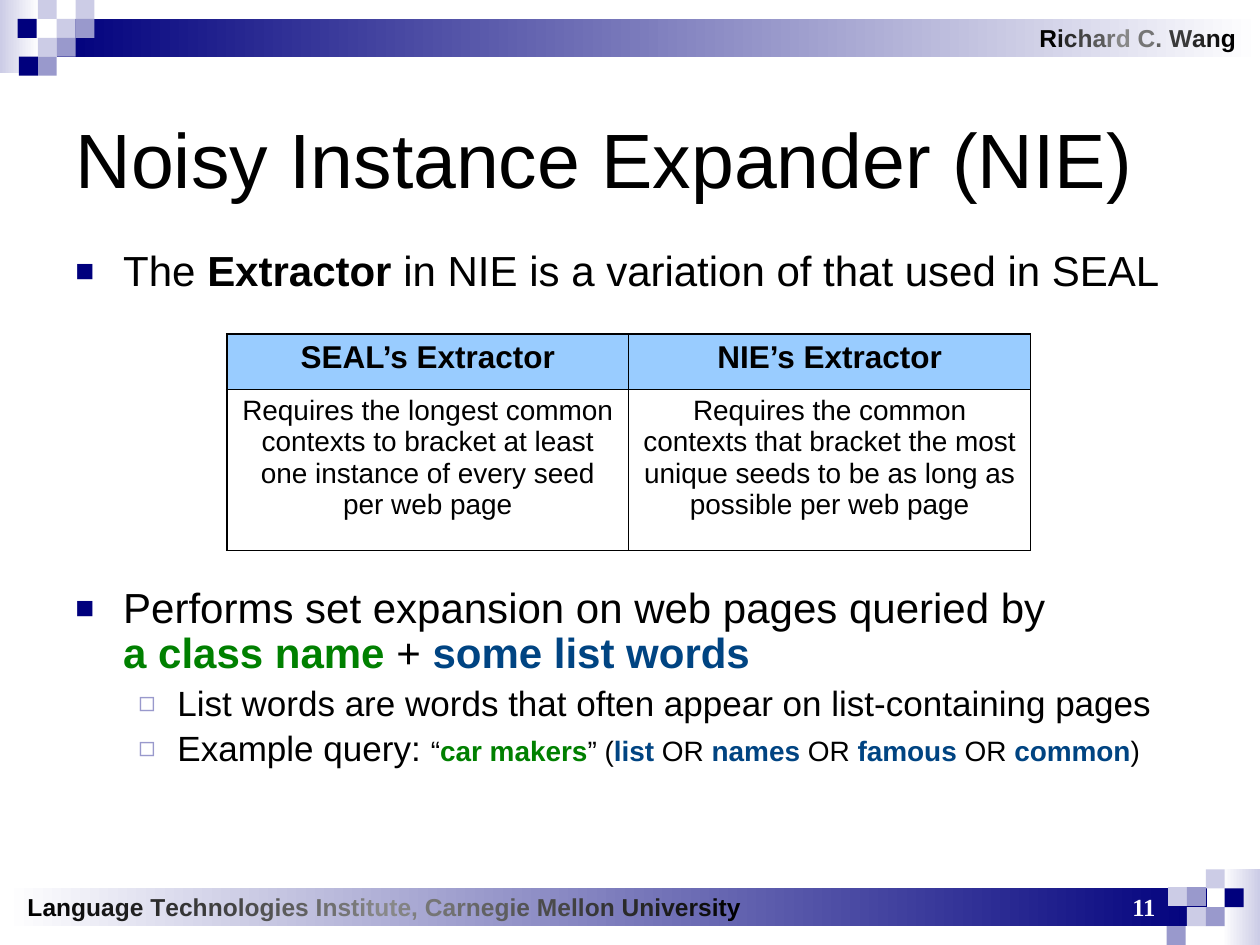
from lxml.etree import SubElement
from pptx import Presentation
from pptx.dml.color import RGBColor
from pptx.enum.shapes import MSO_SHAPE
from pptx.enum.text import MSO_ANCHOR, PP_ALIGN
from pptx.oxml.ns import qn
from pptx.util import Inches, Pt

# Content
TITLE = "Noisy Instance Expander (NIE)"
AUTHOR = "Richard C. Wang"
INSTITUTE = "Language Technologies Institute, Carnegie Mellon University"
PAGE_NUMBER = "11"

BLACK, WHITE, GREEN, BLUE = "000000", "FFFFFF", "008000", "004482"
NAVY, LILAC, PALE, HEADER_FILL = "00007D", "9999CC", "CCCCE6", "99CCFF"

TABLE = [
    ["SEAL’s Extractor", "NIE’s Extractor"],
    ["Requires the longest common contexts to bracket at least one instance "
     "of every seed per web page",
     "Requires the common contexts that bracket the most unique seeds to be "
     "as long as possible per web page"],
]

# Each point: level, space before, spans of (text, format)
KEY = {"color": GREEN, "bold": True}
LIST_WORD = {"color": BLUE, "bold": True}
SMALL = {"size": 16}
OPENING = [(0, 0, [("The ", {}), ("Extractor", {"bold": True}),
                   (" in NIE is a variation of that used in SEAL", {})])]
DETAILS = [
    (0, 0, [("Performs set expansion on web pages queried by\v", {}),
            ("a class name", KEY), (" + ", {}), ("some list words", LIST_WORD)]),
    (1, 5, [("List words are words that often appear on list-containing pages", {})]),
    (1, 4, [("Example query: ", {}), ("“", SMALL), ("car makers", KEY | SMALL),
            ("” (", SMALL), ("list", LIST_WORD | SMALL), (" OR ", SMALL),
            ("names", LIST_WORD | SMALL), (" OR ", SMALL),
            ("famous", LIST_WORD | SMALL), (" OR ", SMALL),
            ("common", LIST_WORD | SMALL), (")", SMALL)]),
]
# Per level: text size, indent, hanging, bullet, bullet colour, bullet percent
LEVELS = [(24, 0.38, 0.38, "■", NAVY, 75), (20, 0.81, 0.31, "◻", LILAC, 80)]

# Decoration: bars of (left, top, width, height, start, end)
TILE = 0.15
BARS = [
    (9.7, 6.9, 0.3, 0.6, WHITE, PALE),
    (0.04, 7.05, 9.54, 0.3, WHITE, NAVY),
    (0, 0, 0.31, 0.58, PALE, WHITE),
    (0.45, 0.15, 9.55, 0.3, NAVY, WHITE),
]
TILES = {
    PALE: [(9.27, 7.04), (9.57, 6.9), (9.42, 7.2),
           (0.45, 0.15), (0.6, 0), (0.3, 0), (0.3, 0.3)],
    LILAC: [(9.42, 7.04), (9.26, 7.35), (9.57, 7.2),
            (0.6, 0.15), (0.45, 0.3), (0.3, 0.45)],
    NAVY: [(9.72, 7.05), (0.14, 0.15), (0.15, 0.45)],
}


def rgb(value):
    return RGBColor.from_string(value)


def add_text(para, text, size=24, color=BLACK, bold=False, font="Arial"):
    for index, line in enumerate(text.split("\v")):
        if index:
            para.add_line_break()
        if line:
            span = para.add_run()
            span.text = line
            span.font.name = font
            span.font.size = Pt(size)
            span.font.bold = bold
            span.font.color.rgb = rgb(color)


def add_box(page, left, top, width, height, anchor=MSO_ANCHOR.MIDDLE):
    box = page.shapes.add_textbox(*map(Inches, (left, top, width, height)))
    box.text_frame.word_wrap = True
    box.text_frame.vertical_anchor = anchor
    return box.text_frame


def add_rectangle(page, left, top, width, height):
    shape = page.shapes.add_shape(
        MSO_SHAPE.RECTANGLE, *map(Inches, (left, top, width, height)))
    shape.shadow.inherit = False
    shape.line.fill.background()
    return shape


def add_faded_text(para, text):
    """Letters go from black to grey in the middle and back to black."""
    last, peak = len(text) - 1, len(text) // 2 - 1
    for index, letter in enumerate(text):
        share = min(1, index / peak, (last - index) / (last - peak - 1))
        add_text(para, letter, size=14, bold=True,
                 color=f"{round(136 * share):02X}" * 3)


def add_bullet(para, indent, hanging, symbol, color, percent):
    properties = para._p.get_or_add_pPr()
    properties.set("marL", str(Inches(indent)))
    properties.set("indent", str(-Inches(hanging)))
    bullet_color = SubElement(properties, qn("a:buClr"))
    SubElement(bullet_color, qn("a:srgbClr"), val=color)
    SubElement(properties, qn("a:buSzPct"), val=str(percent * 1000))
    SubElement(properties, qn("a:buFont"), typeface="Arial")
    SubElement(properties, qn("a:buChar"), char=symbol)


def add_points(page, top, height, points):
    frame = add_box(page, 0.5, top, 9, height, MSO_ANCHOR.TOP)
    for index, (level, space, spans) in enumerate(points):
        para = frame.add_paragraph() if index else frame.paragraphs[0]
        size, *bullet = LEVELS[level]
        para.level = level
        para.line_spacing = 0.9
        para.space_before = Pt(space)
        add_bullet(para, *bullet)
        for text, style in spans:
            add_text(para, text, **({"size": size} | style))


def add_border(cell, side, width):
    line = SubElement(cell._tc.get_or_add_tcPr(), qn(f"a:ln{side}"),
                      w=str(Pt(width)))
    SubElement(SubElement(line, qn("a:solidFill")), qn("a:srgbClr"), val=BLACK)


def add_comparison(page):
    heights = [0.44, 1.28]
    table = page.shapes.add_table(
        2, 2, Inches(1.8), Inches(2.65), Inches(6.38), Inches(sum(heights))).table
    outer, inner = 1.08, 0.45
    for row, texts in enumerate(TABLE):
        table.rows[row].height = Inches(heights[row])
        for column, text in enumerate(texts):
            cell = table.cell(row, column)
            edges = {"L": column == 0, "R": column == 1, "T": row == 0, "B": row == 1}
            for side, is_outer in edges.items():
                add_border(cell, side, outer if is_outer else inner)
            para = cell.text_frame.paragraphs[0]
            para.alignment = PP_ALIGN.CENTER
            if row == 0:
                cell.fill.solid()
                cell.fill.fore_color.rgb = rgb(HEADER_FILL)
                add_text(para, text, size=18, bold=True)
            else:
                cell.fill.background()
                add_text(para, text, size=16)


def main():
    deck = Presentation()
    deck.slide_width, deck.slide_height = Inches(10), Inches(7.5)
    page = deck.slides.add_slide(deck.slide_layouts[5])

    # Gradient bars and corner tiles
    for left, top, width, height, start, end in BARS:
        fill = add_rectangle(page, left, top, width, height).fill
        fill.gradient()
        fill.gradient_angle = 0
        for stop, color in zip(fill.gradient_stops, (start, end)):
            stop.color.rgb = rgb(color)
    for color, places in TILES.items():
        for left, top in places:
            fill = add_rectangle(page, left, top, TILE, TILE).fill
            fill.solid()
            fill.fore_color.rgb = rgb(color)

    # Header and footer
    add_faded_text(add_box(page, 8.15, 0.05, 1.81, 0.5).paragraphs[0], AUTHOR)
    add_faded_text(add_box(page, 0.12, 6.95, 8.03, 0.5).paragraphs[0], INSTITUTE)
    number = add_box(page, 8.31, 6.95, 0.96, 0.5).paragraphs[0]
    number.alignment = PP_ALIGN.RIGHT
    add_text(number, PAGE_NUMBER, size=14, color=WHITE, bold=True,
             font="Times New Roman")

    # Title
    title = page.shapes.title
    title.left, title.top, title.width, title.height = map(Inches, (0.5, 0.5, 9, 1.5))
    title.text_frame.vertical_anchor = MSO_ANCHOR.MIDDLE
    heading = title.text_frame.paragraphs[0]
    heading.alignment = PP_ALIGN.LEFT
    add_text(heading, TITLE, size=44)

    # Points around the table
    add_points(page, 1.94, 0.5, OPENING)
    add_comparison(page)
    add_points(page, 4.61, 1.8, DETAILS)

    deck.save("out.pptx")


if __name__ == "__main__":
    main()
